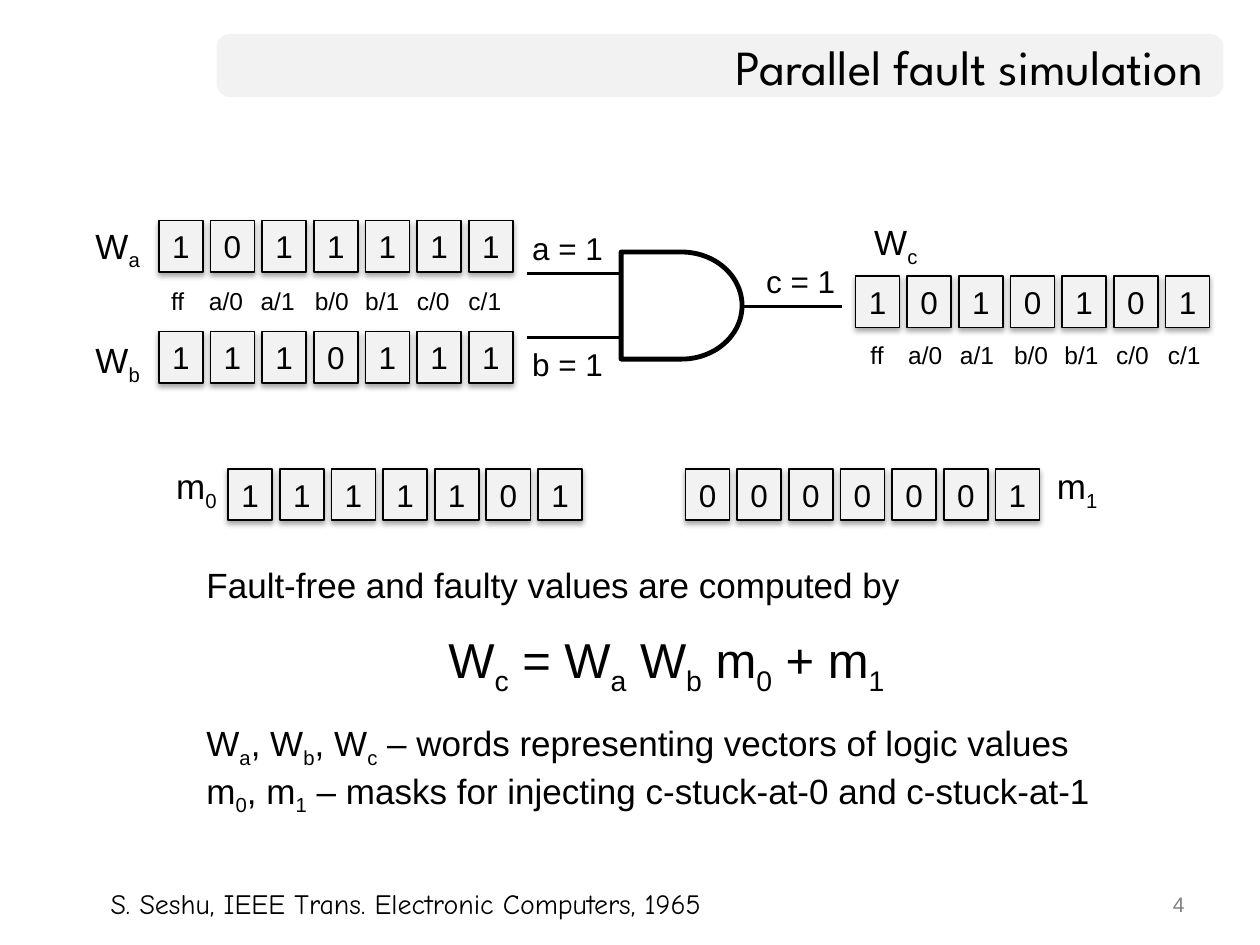
from pptx import Presentation
from pptx.dml.color import RGBColor as RGB
from pptx.enum.shapes import MSO_CONNECTOR as Connector, MSO_SHAPE as Shape
from pptx.enum.text import MSO_ANCHOR as Anchor, PP_ALIGN as Align
from pptx.oxml.ns import qn
from pptx.util import Inches, Pt
from lxml.etree import SubElement

COLORS = {"ink": "000000", "panel": "F2F2F2", "paper": "FFFFFF", "number": "808080"}
FAULTS = {"ff": 0, "a/0": 0.3, "a/1": 0.71, "b/0": 1.14, "b/1": 1.54, "c/0": 1.95, "c/1": 2.36}
WORDS = [(1.26, 1.75, "1011111"), (1.26, 2.63, "1110111"), (1.81, 3.72, "1111101"),
         (5.44, 3.72, "0000001"), (6.79, 2.19, "1010101")]
FAULT_ROWS = [(1.26, 2.22), (6.81, 2.65)]
SYMBOLS = [("W_a", 0.66, 1.73), ("W_b", 0.66, 2.64), ("W_c", 6.84, 1.7),
           ("m_0", 1.3, 3.64), ("m_1", 8.29, 3.64)]
SIGNALS = [("a = 1", 4.12, 1.77), ("b = 1", 4.12, 2.69), ("c = 1", 5.97, 2.03)]
WIRES = [(5.6, 6.68, 2.43), (4.18, 5.1, 2.68), (4.18, 5.1, 2.17)]


class Deck:
    """Holds the slide and its style; an underscore in text lowers the next character."""

    def __init__(self, prs):
        self.slide = prs.slides.add_slide(prs.slide_layouts[5])
        self.shapes = self.slide.shapes

    def style(self, run, size, font="Arial", color="ink"):
        run.font.size = Pt(size)
        run.font.name = font
        run.font.bold = False
        run.font.color.rgb = RGB.from_string(COLORS[color])

    def title(self, text, left, top, width, height):
        heading = self.shapes.title
        heading.left, heading.top = Inches(left), Inches(top)
        heading.width, heading.height = Inches(width), Inches(height)
        frame = heading.text_frame
        frame.text = text
        frame.vertical_anchor = Anchor.MIDDLE
        frame.paragraphs[0].alignment = Align.RIGHT
        self.style(frame.paragraphs[0].runs[0], 28, "League Spartan")

    def panel(self, kind, left, top, width, height, fill="panel", line=None):
        panel = self.shapes.add_shape(kind, Inches(left), Inches(top), Inches(width), Inches(height))
        panel.shadow.inherit = False
        panel.fill.solid()
        panel.fill.fore_color.rgb = RGB.from_string(COLORS[fill])
        if line:
            panel.line.color.rgb = RGB.from_string(COLORS["ink"])
            panel.line.width = Pt(line)
        else:
            panel.line.fill.background()
        return panel

    def title_bar(self, left, top, width, height):
        bar = self.panel(Shape.ROUNDED_RECTANGLE, left, top, width, height)
        bar.adjustments[0] = 0.21
        self.shapes.title.element.addprevious(bar.element)

    def bit(self, value, left, top):
        cell = self.panel(Shape.RECTANGLE, left, top, 0.35, 0.41, line=1)
        effects = cell.element.spPr.find(qn("a:effectLst"))
        shadow = SubElement(effects, qn("a:outerShdw"), blurRad=str(Pt(3.1)), dist=str(Pt(1.8)),
                            dir="5400000", rotWithShape="0")
        tint = SubElement(shadow, qn("a:srgbClr"), val=COLORS["ink"])
        SubElement(tint, qn("a:alpha"), val="35000")
        frame = cell.text_frame
        frame.margin_left = frame.margin_right = 0
        frame.vertical_anchor = Anchor.MIDDLE
        frame.text = value
        frame.paragraphs[0].alignment = Align.CENTER
        self.style(frame.paragraphs[0].runs[0], 18)

    def word(self, left, top, bits):
        for place, value in enumerate(bits):
            self.bit(value, left + 0.41 * place, top)

    def text(self, text, left, top, width, height, size, font="Arial", color="ink",
             align=Align.LEFT, anchor=Anchor.TOP):
        box = self.shapes.add_textbox(Inches(left), Inches(top), Inches(width), Inches(height))
        frame = box.text_frame
        frame.word_wrap = False
        frame.vertical_anchor = anchor
        for number, line in enumerate(text.split("\n")):
            paragraph = frame.add_paragraph() if number else frame.paragraphs[0]
            paragraph.alignment = align
            base, *lowered = line.split("_")
            pieces = [(base, False)]
            for piece in lowered:
                pieces += [(piece[0], True), (piece[1:], False)]
            for piece, is_subscript in pieces:
                if piece:
                    run = paragraph.add_run()
                    run.text = piece
                    self.style(run, size, font, color)
                    if is_subscript:
                        run.font._element.set("baseline", "-25000")

    def wire(self, start, end, level):
        wire = self.shapes.add_connector(Connector.STRAIGHT, Inches(start), Inches(level),
                                         Inches(end), Inches(level))
        wire.line.color.rgb = RGB.from_string(COLORS["ink"])
        wire.line.width = Pt(1.75)
        SubElement(wire.element.spPr, qn("a:effectLst"))


def main():
    prs = Presentation()
    prs.slide_width, prs.slide_height = Inches(10), Inches(7.5)
    deck = Deck(prs)
    deck.title("Parallel fault simulation", 1.72, 0.27, 7.93, 0.5)
    deck.title_bar(1.72, 0.27, 7.99, 0.5)
    deck.text("4", 7.17, 7, 2.33, 0.35, 12, color="number", align=Align.RIGHT, anchor=Anchor.MIDDLE)
    deck.text("S. Seshu, IEEE Trans. Electronic Computers, 1965", 0.78, 6.99, 5.46, 0.37, 16, "Comic Neue")

    for start, end, level in WIRES:
        deck.wire(start, end, level)
    deck.panel(Shape.FLOWCHART_DELAY, 4.93, 2, 0.96, 0.85, "paper", 2.75)
    for signal, left, top in SIGNALS:
        deck.text(signal, left, top, 0.77, 0.4, 18, align=Align.CENTER, anchor=Anchor.MIDDLE)

    for left, top in FAULT_ROWS:
        for fault, offset in FAULTS.items():
            deck.text(fault, left + offset, top, 0.31 if fault == "ff" else 0.47, 0.33, 14)
    for symbol, left, top in SYMBOLS:
        deck.text(symbol, left, top, 0.56, 0.44, 20)
    for left, top, bits in WORDS:
        deck.word(left, top, bits)

    deck.text("Fault-free and faulty values are computed by", 1.54, 4.42, 5.76, 0.44, 20, anchor=Anchor.MIDDLE)
    deck.text("W_c = W_a W_b m_0 + m_1", 3.46, 4.98, 3.79, 0.57, 28, anchor=Anchor.MIDDLE)
    deck.text("W_a, W_b, W_c – words representing vectors of logic values\n"
              "m_0, m_1 – masks for injecting c-stuck-at-0 and c-stuck-at-1",
              1.54, 5.72, 7.3, 0.77, 20, anchor=Anchor.MIDDLE)
    prs.save("out.pptx")


if __name__ == "__main__":
    main()
